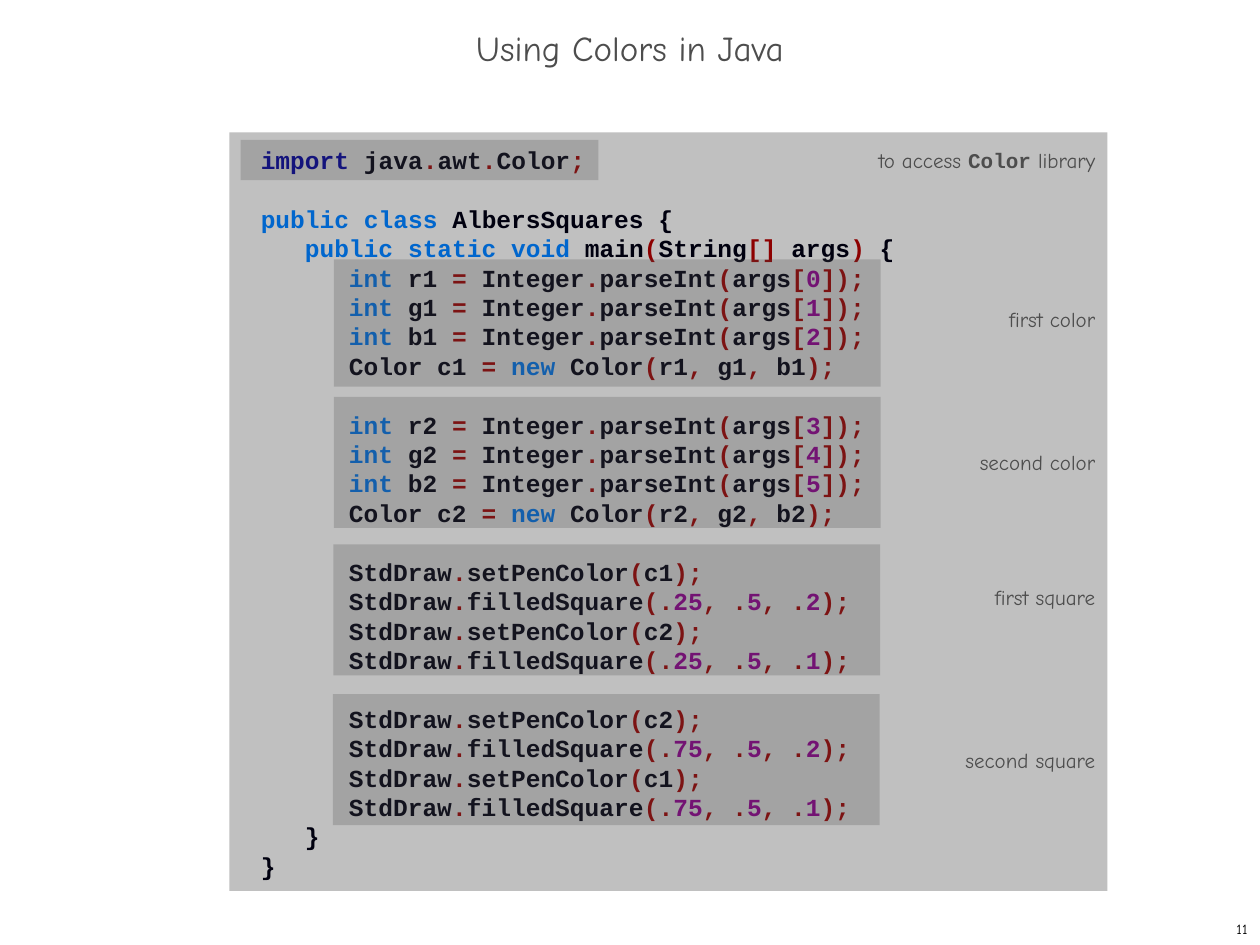
import itertools
from dataclasses import dataclass

import pptx
import pptx.dml.color
import pptx.enum.shapes
import pptx.enum.text
import pptx.oxml
import pptx.oxml.ns
import pptx.util

ALIGN = pptx.enum.text.PP_ALIGN
ANCHOR = pptx.enum.text.MSO_ANCHOR


@dataclass(frozen=True)
class Theme:
    hand: str = "Comic Neue"
    mono: str = "Courier New"
    panel: str = "C0C0C0"
    gray: str = "4D4D4D"
    black: str = "000000"
    ink: str = "00000F"
    navy: str = "00008C"
    blue: str = "0066CD"
    red: str = "8D0000"
    plum: str = "800081"
    title: float = 20
    code: float = 14
    note: float = 12
    page: float = 8
    line: float = 16.8  # height of a code line
    alpha: int = 25  # opacity of the bands, in percent


THEME = Theme()
WIDE, HIGH = 10, 7.5
COLS, ROWS = 100, 25  # grid of the code panel
WORDS = {"public", "class", "static", "void", "int", "new"}


def parse_rgb(sum1, sum2):
    """Code lines that read one color from three arguments."""
    reads = [f"int {name}{sum1} = Integer.parseInt(args[{sum2 + i}]);"
             for i, name in enumerate("rgb")]
    return reads + [f"Color c{sum1} = new Color(r{sum1}, g{sum1}, b{sum1});"]


def draw_pair(x, outer, inner):
    """Code lines that draw a small square inside a large one."""
    return [f"StdDraw.setPenColor(c{outer});",
            f"StdDraw.filledSquare(.{x}, .5, .2);",
            f"StdDraw.setPenColor(c{inner});",
            f"StdDraw.filledSquare(.{x}, .5, .1);"]


# Each block: indent depth, gap above in lines, code lines
BLOCKS = [
    (0, 0, ["import java.awt.Color;"]),
    (0, 1, ["public class AlbersSquares {"]),
    (1, 0, ["public static void main(String[] args) {"]),
    (2, 0, parse_rgb(1, 0)),
    (2, 1, parse_rgb(2, 3)),
    (2, 1, draw_pair(25, 1, 2)),
    (2, 1, draw_pair(75, 2, 1)),
    (1, 0, ["}"]),
    (0, 0, ["}"]),
]

# Each band: left, top, width, height in panel columns and rows
BANDS = [
    (1.29, 0.25, 40.75, 1.33),
    (11.91, 4.19, 62.27, 4.19),
    (11.91, 8.72, 62.27, 4.32),
    (11.85, 13.58, 62.27, 4.32),
    (11.8, 18.52, 62.27, 4.32),
]

# Each note: top in panel rows, pieces of text with a mono flag
NOTES = [
    (0.29, [("to access ", False), ("Color", True), (" library", False)]),
    (5.52, [("first color", False)]),
    (10.26, [("second color", False)]),
    (14.7, [("first square", False)]),
    (20.06, [("second square", False)]),
]


def rgb(code):
    return pptx.dml.color.RGBColor.from_string(code)


def inches(box):
    return [pptx.util.Inches(n) for n in box]


def within(box, cell):
    """Turn a cell in panel columns and rows into inches."""
    left, top, wide, high = box
    x, y, w, h = cell
    return (left + wide * x / COLS, top + high * y / ROWS,
            wide * w / COLS, high * h / ROWS)


def set_font(font, face, size, color):
    font.name, font.size = face, pptx.util.Pt(size)
    font.color.rgb = rgb(color)


def add_rect(slide, box, color):
    rect = slide.shapes.add_shape(
        pptx.enum.shapes.MSO_SHAPE.RECTANGLE, *inches(box))
    rect.shadow.inherit = False
    rect.fill.solid()
    rect.fill.fore_color.rgb = rgb(color)
    rect.line.fill.background()
    return rect


def add_label(slide, box, align, size, color):
    """Add an empty text box and return its paragraph."""
    frame = slide.shapes.add_textbox(*inches(box)).text_frame
    frame.word_wrap = True
    frame.vertical_anchor = ANCHOR.MIDDLE
    para = frame.paragraphs[0]
    para.alignment = align
    set_font(para.font, THEME.hand, size, color)
    return para


def tint(token):
    if token == "import":
        return THEME.navy
    if token in WORDS:
        return THEME.blue
    if token.isdigit():
        return THEME.plum
    return THEME.red if token[0] in ".,;=()[]" else THEME.ink


def color_runs(line):
    """Split a code line into pieces of one color each."""
    def kind(char):
        return "word" if char.isalnum() else char

    tokens = ["".join(group) for _, group in itertools.groupby(line, kind)]
    for color, group in itertools.groupby(tokens, tint):
        yield "".join(group), color


def add_code(slide, box):
    panel = add_rect(slide, box, THEME.panel)
    frame = panel.text_frame
    frame.word_wrap = True
    frame.vertical_anchor = ANCHOR.TOP
    frame.margin_left, frame.margin_right = inches((0.25, 0.2))
    frame.margin_top = frame.margin_bottom = pptx.util.Inches(0.1)
    step = pptx.util.Pt(3 * 0.6 * THEME.code)  # three mono characters
    lines = [(depth, gap if i == 0 else 0, line)
             for depth, gap, block in BLOCKS for i, line in enumerate(block)]
    for i, (depth, gap, line) in enumerate(lines):
        para = frame.add_paragraph() if i else frame.paragraphs[0]
        para.alignment = ALIGN.LEFT
        para.line_spacing = pptx.util.Pt(THEME.line)
        para.space_before = pptx.util.Pt(gap * THEME.line)
        set_font(para.font, THEME.mono, THEME.code, THEME.ink)
        para.font.bold = True
        para._p.get_or_add_pPr().set("marL", str(depth * step))
        for text, color in color_runs(line):
            run = para.add_run()
            run.text = text
            run.font.color.rgb = rgb(color)


def add_bands(slide, box):
    for cell in BANDS:
        band = add_rect(slide, within(box, cell), THEME.gray)
        tone = band.fill._xPr.find(".//" + pptx.oxml.ns.qn("a:srgbClr"))
        alpha = pptx.oxml.parse_xml(
            f'<a:alpha {pptx.oxml.ns.nsdecls("a")} val="{THEME.alpha * 1000}"/>')
        tone.append(alpha)


def add_notes(slide, box):
    for top, parts in NOTES:
        cell = (68.5, top, 31.5, 1.25)
        para = add_label(slide, within(box, cell), ALIGN.RIGHT,
                         THEME.note, THEME.gray)
        for text, mono in parts:
            run = para.add_run()
            run.text = text
            if mono:
                run.font.name, run.font.bold = THEME.mono, True


def main():
    deck = pptx.Presentation()
    deck.slide_width, deck.slide_height = inches((WIDE, HIGH))
    slide = deck.slides.add_slide(deck.slide_layouts[6])

    # Title and page number
    title = add_label(slide, (0, 0.17, WIDE, 0.5), ALIGN.CENTER,
                      THEME.title, THEME.gray)
    title.text = "Using Colors in Java"
    title.line_spacing = 0.7
    page = add_label(slide, (7.92, 7.25, 2.08, 0.25), ALIGN.RIGHT,
                     THEME.page, THEME.black)
    page.text = "11"

    # Code panel with its notes and bands
    panel = (1.82, 1.05, 6.97, 6.02)
    for place in (add_code, add_notes, add_bands):
        place(slide, panel)
    deck.save("out.pptx")


if __name__ == "__main__":
    main()
